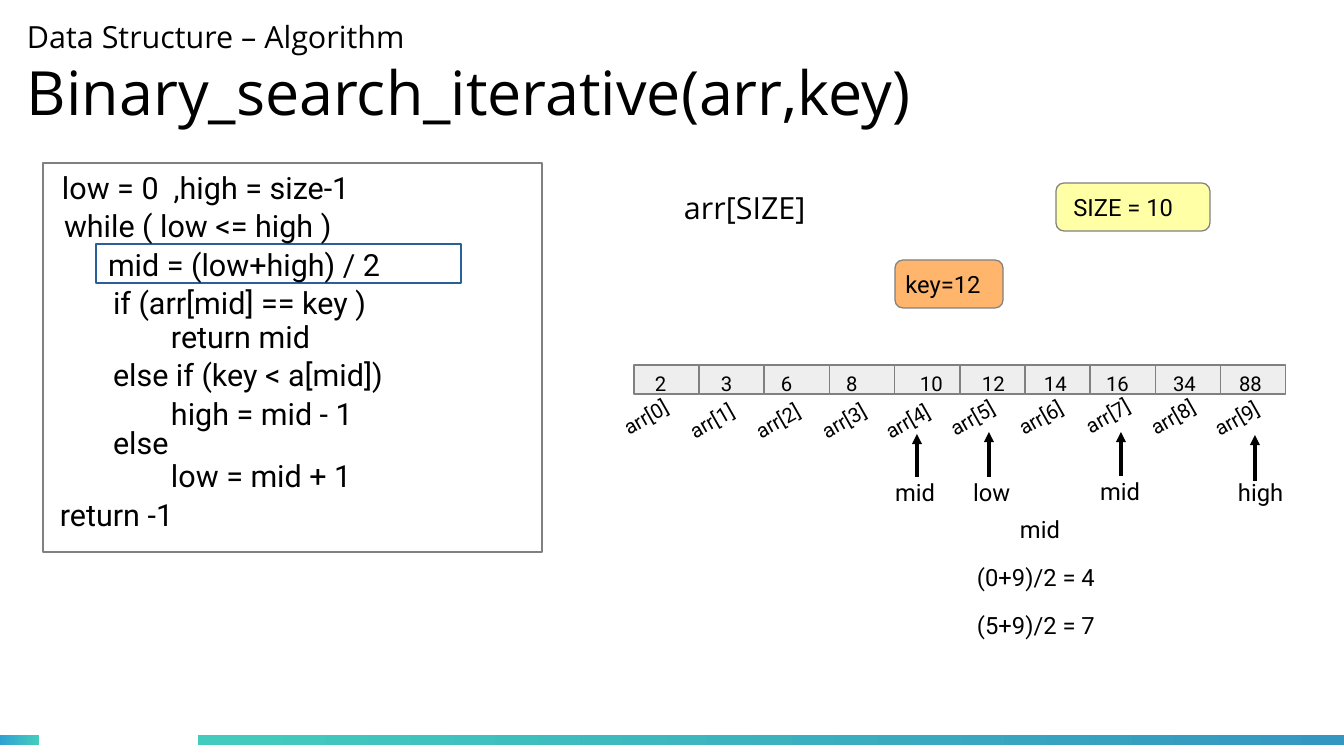
"""Build a slide that steps through an iterative binary search."""
from lxml import etree
from pptx import Presentation
from pptx import util as u
from pptx.dml.color import RGBColor
from pptx.enum import shapes, text
from pptx.oxml.ns import qn

BLACK = RGBColor(0x00, 0x00, 0x00)
WHITE = RGBColor(0xFF, 0xFF, 0xFF)
GRAY = RGBColor(0x80, 0x80, 0x80)
CELL_GRAY = RGBColor(0xEE, 0xEE, 0xEE)
YELLOW = RGBColor(0xFF, 0xFF, 0xA6)
ORANGE = RGBColor(0xFF, 0xB6, 0x6C)
NAVY = RGBColor(0x2A, 0x60, 0x99)
TEAL = RGBColor(0x43, 0xCC, 0xBD)
SKY = RGBColor(0x30, 0xA2, 0xD2)
BLUE = RGBColor(0x34, 0x97, 0xC1)

RECTANGLE = shapes.MSO_SHAPE.RECTANGLE
ROUNDED = shapes.MSO_SHAPE.ROUNDED_RECTANGLE

CODE = [
    ("low = 0  ,high = size-1", 50, 163, 451),
    ("while ( low <= high )", 52, 201, 365),
    ("mid = (low+high) / 2", 96, 240, 394),
    ("if (arr[mid] == key )", 101, 278, 345),
    ("return mid", 159, 312, 201),
    ("else if (key < a[mid])", 101, 350, 404),
    ("high = mid - 1", 159, 389, 345),
    ("else", 101, 418, 96),
    ("low = mid + 1", 159, 451, 345),
    ("return -1", 48, 490, 188),
]
ELEMENTS = [
    ("2", 643, 610, 395, 85),
    ("3", 709, 676, 399, 84),
    ("6", 769, 742, 399, 84),
    ("8", 834, 808, 399, 84),
    ("10", 908, 872, 400, 82),
    ("12", 970, 936, 394, 93),
    ("14", 1032, 1004, 392, 99),
    ("16", 1094, 1072, 394, 83),
    ("34", 1161, 1137, 395, 85),
    ("88", 1227, 1200, 393, 99),
]
POINTERS = [
    ("mid", 883, 472, 917, 477, 434),
    ("low", 961, 472, 989, 477, 432),
    ("mid", 1088, 471, 1121, 476, 432),
    ("high", 1226, 472, 1255, 481, 435),
]
WORKING = [("mid", 1008, 509), ("(0+9)/2 = 4", 965, 557), ("(5+9)/2 = 7", 965, 605)]


def px(length):
    """Turn pixels into EMU."""
    return u.Emu(round(length * 914400 / 122))


def apply(target, values):
    """Set each named attribute on the target."""
    for name, value in values.items():
        setattr(target, name, value)


class Board:
    """Hold the text style and the current slide."""

    def __init__(self, slide):
        """Keep the slide and its default font."""
        self.slide = slide
        self.font = "Roboto"

    def add_words(self, paragraph, words, size, font=None):
        """Put one left-aligned run in a paragraph."""
        paragraph.alignment = text.PP_ALIGN.LEFT
        run = paragraph.add_run()
        run.text = words
        apply(run.font, {"name": font or self.font, "size": u.Pt(size)})
        run.font.color.rgb = BLACK

    def frame(self, shape, insets, anchor):
        """Give a text frame its insets, wrapping and anchor."""
        left, top, right, bottom = map(px, insets)
        apply(shape.text_frame, {
            "margin_left": left, "margin_top": top,
            "margin_right": right, "margin_bottom": bottom,
            "word_wrap": True, "vertical_anchor": anchor,
            "auto_size": text.MSO_AUTO_SIZE.NONE,
        })
        return shape.text_frame

    def title(self, box, lines):
        """Move the title and fill its lines."""
        shape = self.slide.shapes.title
        apply(shape, dict(zip(("left", "top", "width", "height"), map(px, box))))
        frame = self.frame(shape, (0, 0, 0, 0), text.MSO_ANCHOR.MIDDLE)
        for index, (words, size) in enumerate(lines):
            paragraph = frame.add_paragraph() if index else frame.paragraphs[0]
            apply(paragraph, {"space_before": u.Pt(0), "line_spacing": 1.0})
            self.add_words(paragraph, words, size, "Open Sans")

    def label(self, words, box, size, font=None, rotation=0):
        """Add a text box."""
        shape = self.slide.shapes.add_textbox(*map(px, box))
        shape.rotation = rotation
        frame = self.frame(shape, (12, 6, 12, 6), text.MSO_ANCHOR.TOP)
        self.add_words(frame.paragraphs[0], words, size, font)

    def block(self, box, fill, line=GRAY, kind=RECTANGLE):
        """Add a filled shape with a hairline."""
        shape = self.slide.shapes.add_shape(kind, *map(px, box))
        shape.shadow.inherit = False
        shape.fill.solid()
        shape.fill.fore_color.rgb = fill
        shape.line.color.rgb = line
        shape.line.width = u.Emu(0)
        return shape

    def chip(self, words, box, fill, inset):
        """Add a rounded block with text."""
        shape = self.block(box, fill, kind=ROUNDED)
        frame = self.frame(shape, (inset, 0, 0, 0), text.MSO_ANCHOR.MIDDLE)
        self.add_words(frame.paragraphs[0], words, 14)

    def bar(self, box, start, end):
        """Add a horizontal gradient bar."""
        shape = self.slide.shapes.add_shape(RECTANGLE, *map(px, box))
        shape.shadow.inherit = False
        shape.line.fill.background()
        shape.fill.gradient()
        shape.fill.gradient_angle = 0
        for stop, color in zip(shape.fill.gradient_stops, (start, end)):
            stop.color.rgb = color

    def arrow(self, x, start, end):
        """Add a vertical arrow."""
        connector = self.slide.shapes.add_connector(
            shapes.MSO_CONNECTOR.STRAIGHT, px(x), px(start), px(x), px(end))
        connector.line.color.rgb = BLACK
        connector.line.width = u.Emu(0)
        properties = connector._element.spPr
        etree.SubElement(properties.find(qn("a:ln")), qn("a:tailEnd"), type="triangle")
        etree.SubElement(properties, qn("a:effectLst"))


def main():
    """Draw the slide and save it."""
    presentation = Presentation()
    presentation.slide_width = px(1344)
    presentation.slide_height = px(756)
    board = Board(presentation.slides.add_slide(presentation.slide_layouts[5]))

    board.bar((0, 735, 39, 10), SKY, TEAL)
    board.bar((198, 735, 1146, 10), TEAL, BLUE)
    board.title((27, -16, 1270, 177), [
        ("Data Structure – Algorithm", 18), ("Binary_search_iterative(arr,key)", 36)])

    board.block((43, 163, 499, 389), WHITE)
    board.block((96, 244, 365, 39), WHITE, NAVY)
    for words, left, top, width in CODE:
        board.label(words, (left, top, width, 54), 18)

    board.label("arr[SIZE]", (672, 183, 173, 54), 18, "Open Sans")
    board.chip("SIZE = 10", (1056, 183, 154, 48), YELLOW, 15)
    board.chip("key=12", (895, 260, 108, 48), ORANGE, 8)

    for index, (value, value_left, name_left, name_top, name_width) in enumerate(ELEMENTS):
        board.block((634 + 65.2 * index, 365, 65, 29), CELL_GRAY)
        board.label(value, (value_left, 365, 52, 40), 12)
        board.label(f"arr[{index}]", (name_left, name_top, name_width, 40), 12,
                    rotation=-29.6)

    for words, left, top, x, start, end in POINTERS:
        board.arrow(x, start, end)
        board.label(words, (left, top, 79, 45), 14)
    for words, left, top in WORKING:
        board.label(words, (left, top, 173, 48), 14)

    presentation.save("out.pptx")


if __name__ == "__main__":
    main()
